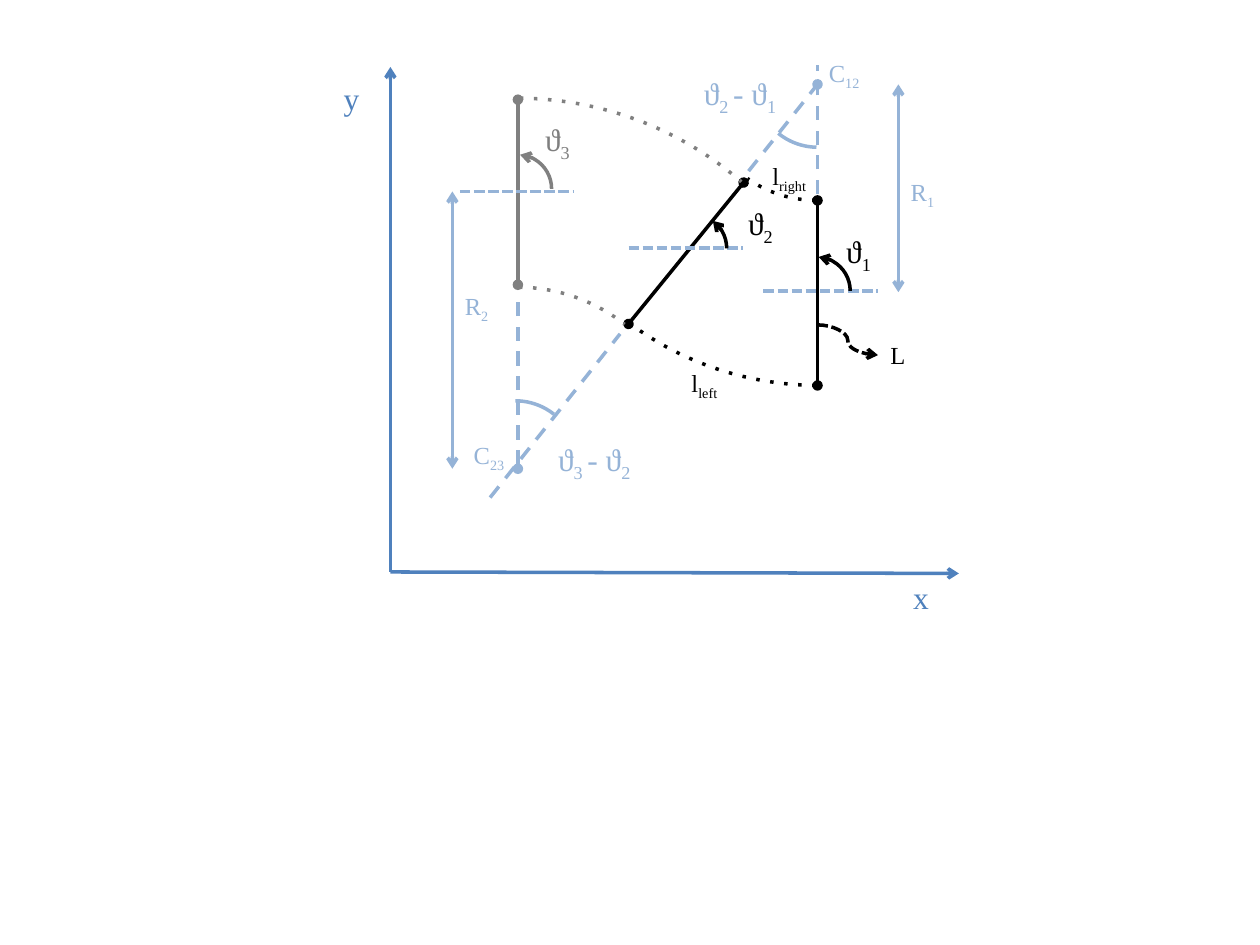
import dataclasses

import lxml.etree
import pptx
import pptx.dml.color
import pptx.enum.shapes
import pptx.oxml.ns
import pptx.util

Cm = pptx.util.Cm
qn = pptx.oxml.ns.qn


@dataclasses.dataclass
class Theme:
    axis: str = "4F81BD"
    guide: str = "95B3D7"
    pose: str = "000000"
    past_line: str = "808080"
    past_text: str = "7F7F7F"
    font: str = "Times New Roman"
    large: int = 18
    small: int = 14
    line_width: int = 2


class Diagram:
    def __init__(self, slide, theme):
        self.slide = slide
        self.theme = theme

    def outline(self, shape, color, dash, head, tail):
        shape.line.color.rgb = pptx.dml.color.RGBColor.from_string(color)
        shape.line.width = pptx.util.Pt(self.theme.line_width)
        line = shape._element.spPr.find(qn("a:ln"))
        for tag, attribute, value in (("a:prstDash", "val", dash),
                                      ("a:headEnd", "type", head),
                                      ("a:tailEnd", "type", tail)):
            if value:
                lxml.etree.SubElement(line, qn(tag)).set(attribute, value)

    def line(self, start, end, color, dash=None, head=None, tail=None,
             kind=pptx.enum.shapes.MSO_CONNECTOR.STRAIGHT):
        points = [Cm(value) for value in (*start, *end)]
        connector = self.slide.shapes.add_connector(kind, *points)
        self.outline(connector, color, dash, head, tail)
        lxml.etree.SubElement(connector._element.spPr, qn("a:effectLst"))

    def arc(self, box, angles, color, dash=None, head=None):
        """Draw the part of the ellipse in box between two adjustment values."""
        shape = self.slide.shapes.add_shape(
            pptx.enum.shapes.MSO_SHAPE.ARC, *[Cm(value) for value in box])
        shape.adjustments[0], shape.adjustments[1] = angles
        shape.fill.background()
        shape.shadow.inherit = False
        self.outline(shape, color, dash, head, None)

    def label(self, left, top, width, size, color, *parts):
        """Write parts that alternate between normal text and subscript."""
        height = 1.02 if size == self.theme.large else 0.86
        box = self.slide.shapes.add_textbox(
            Cm(left), Cm(top), Cm(width), Cm(height))
        box.text_frame.word_wrap = True
        paragraph = box.text_frame.paragraphs[0]
        paragraph.font.name = self.theme.font
        paragraph.font.size = pptx.util.Pt(size)
        paragraph.font.color.rgb = pptx.dml.color.RGBColor.from_string(color)
        for index, part in enumerate(parts):
            run = paragraph.add_run()
            run.text = part
            if index % 2:
                run._r.get_or_add_rPr().set("baseline", "-25000")


def draw_lines(diagram):
    theme = diagram.theme
    origin = (7.87, 11.53)
    first_x, third_x = 16.48, 10.44
    center_12, center_23 = (first_x, 1.7), (third_x, 9.45)

    for end in ((19.33, 11.56), (7.87, 1.35)):
        diagram.line(origin, end, theme.axis, tail="arrow")

    for start, end, color in (
            ((first_x, 7.77), (first_x, 4.04), theme.pose),
            ((third_x, 5.74), (third_x, 2.01), theme.past_line),
            ((12.67, 6.53), (14.99, 3.68), theme.pose)):
        diagram.line(start, end, color, head="oval", tail="oval")

    for start, end, head, tail in (
            ((9.88, 10.03), (12.5, 6.73), None, None),
            ((15.09, 3.45), center_12, None, "oval"),
            ((first_x, 3.91), (first_x, 1.32), None, None),
            (center_23, (third_x, 5.89), "oval", None)):
        diagram.line(start, end, theme.guide, "dash", head, tail)

    for left, y in ((15.39, 5.87), (12.67, 5), (9.27, 3.86)):
        diagram.line((left, y), (left + 2.31, y), theme.guide, "sysDash")

    for x, bottom, top in ((18.11, 5.89, 1.7), (9.12, 9.45, 3.86)):
        diagram.line((x, bottom), (x, top), theme.guide,
                     head="arrow", tail="arrow")

    diagram.line((first_x, 6.55), (17.7, 7.16), theme.pose, "sysDash",
                 tail="arrow", kind=pptx.enum.shapes.MSO_CONNECTOR.CURVE)


def draw_arcs(diagram):
    theme = diagram.theme
    for left, top, angles in ((15.24, 0.53, (54.69, 78.13)),
                              (9.14, 8.08, (162.17, 185.74))):
        diagram.arc((left, top, 2.49, 2.44), angles, theme.guide)

    for left, top, start, color in ((15.77, 5.18, 164.52, theme.pose),
                                    (13.28, 4.32, 183.84, theme.pose),
                                    (9.75, 3.12, 164.52, theme.past_line)):
        diagram.arc((left, top, 1.37, 1.37), (start, 0.08), color, head="arrow")

    for box, angles, color in (
            ((10.19, -4.6, 12.6, 12.37), (54.25, 76.24), theme.pose),
            ((14.07, -0.66, 4.78, 4.7), (54.25, 75.62), theme.pose),
            ((3.58, 1.98, 13.67, 13.41), (162.33, 187.24), theme.past_line),
            ((6.99, 5.79, 6.88, 6.73), (162.33, 185.74), theme.past_line)):
        diagram.arc(box, angles, color, "dot")


def draw_labels(diagram):
    theme = diagram.theme
    for left, top, width, color, *parts in (
            (10.74, 2.29, 1.12, theme.past_text, "ϑ", "3"),
            (16.81, 4.55, 1.12, theme.pose, "ϑ", "1"),
            (14.83, 3.99, 1.12, theme.pose, "ϑ", "2"),
            (11, 8.74, 2.77, theme.guide, "ϑ", "3 ", "- ϑ", "2"),
            (13.94, 1.37, 2.26, theme.guide, "ϑ", "2 ", "- ϑ", "1"),
            (18.16, 11.53, 1.12, theme.axis, "x"),
            (6.68, 1.47, 1.12, theme.axis, "y")):
        diagram.label(left, top, width, theme.large, color, *parts)

    for left, top, width, color, *parts in (
            (13.69, 7.29, 1.83, theme.pose, "l", "left"),
            (15.32, 3.12, 1.83, theme.pose, "l", "right"),
            (16.46, 1.04, 1.83, theme.guide, "C", "12"),
            (9.3, 8.74, 1.3, theme.guide, "C", "23"),
            (17.7, 6.73, 1.83, theme.pose, "L"),
            (18.11, 3.45, 1.83, theme.guide, "R", "1"),
            (9.12, 5.74, 1.83, theme.guide, "R", "2")):
        diagram.label(left, top, width, theme.small, color, *parts)


def main():
    presentation = pptx.Presentation()
    presentation.slide_width = Cm(25.4)
    presentation.slide_height = Cm(19.05)
    blank_layout = presentation.slide_layouts[6]
    diagram = Diagram(presentation.slides.add_slide(blank_layout), Theme())
    draw_lines(diagram)
    draw_arcs(diagram)
    draw_labels(diagram)
    presentation.save("out.pptx")


if __name__ == "__main__":
    main()
